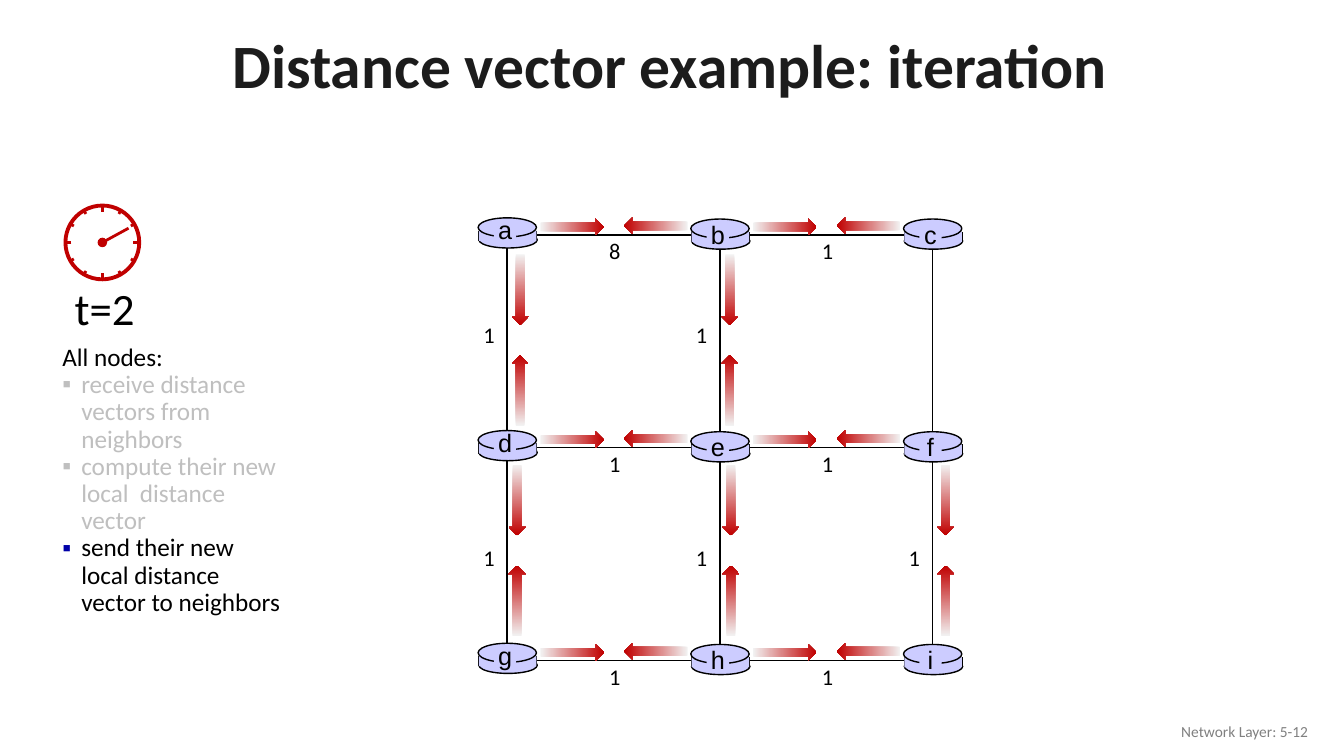
from dataclasses import dataclass
from math import cos, pi, sin

from lxml import etree
from pptx import Presentation
from pptx import util as u
from pptx.dml.color import RGBColor
from pptx.enum import shapes, text
from pptx.oxml.ns import qn

Cm, Pt = u.Cm, u.Pt
MSO = shapes.MSO_SHAPE
ALIGN, ANCHOR = text.PP_ALIGN, text.MSO_ANCHOR


@dataclass(frozen=True)
class Theme:
    ink: str = "000000"
    heading: str = "1C1C1C"
    footer: str = "808080"
    faded: str = "BFBFBF"
    bullet: str = "0000A8"
    router: str = "CCCCFF"
    red: str = "C00000"
    pale: str = "F2F2F2"
    body_font: str = "Calibri"
    node_font: str = "Arial"
    title_size: int = 44
    time_size: int = 32
    body_size: int = 18
    cost_size: int = 16
    footer_size: int = 11


class Board:
    """Draws on one slide; all lengths are centimetres."""

    def __init__(self, s, theme):
        self.s, self.t = s, theme
        self.target = s.shapes

    def group(self):
        self.target = self.s.shapes.add_group_shape().shapes

    def ungroup(self):
        self.target = self.s.shapes

    def shape(self, kind, x, y, w, h, fill=None, line=None, width=1):
        sp = self.target.add_shape(kind, Cm(x), Cm(y), Cm(w), Cm(h))
        sp.shadow.inherit = False
        if fill:
            sp.fill.solid()
            sp.fill.fore_color.rgb = RGBColor.from_string(fill)
        else:
            sp.fill.background()
        if line:
            sp.line.color.rgb = RGBColor.from_string(line)
            sp.line.width = Pt(width)
        else:
            sp.line.fill.background()
        return sp

    def line(self, x1, y1, x2, y2, color, width=1):
        c = self.target.add_connector(shapes.MSO_CONNECTOR.STRAIGHT,
                                      Cm(x1), Cm(y1), Cm(x2), Cm(y2))
        c.line.color.rgb = RGBColor.from_string(color)
        c.line.width = Pt(width)
        etree.SubElement(c._element.spPr, qn("a:effectLst"))
        return c

    def arrow(self, cx, cy, length, rotation):
        h = 0.43
        sp = self.shape(MSO.RIGHT_ARROW, cx - length / 2, cy - h / 2, length, h)
        sp.fill.gradient()
        sp.fill.gradient_angle = 0
        for stop, color in zip(sp.fill.gradient_stops, (self.t.pale, self.t.red)):
            stop.color.rgb = RGBColor.from_string(color)
        sp.rotation = rotation

    def bullet(self, p, color, indent=0.48):
        pPr = p._p.get_or_add_pPr()
        pPr.set("marL", str(Cm(indent)))
        pPr.set("indent", str(-Cm(indent)))
        clr = etree.SubElement(pPr, qn("a:buClr"))
        etree.SubElement(clr, qn("a:srgbClr"), val=color)
        etree.SubElement(pPr, qn("a:buFont"), typeface=self.t.node_font)
        etree.SubElement(pPr, qn("a:buChar"), char="▪")

    def text(self, x, y, w, h, paras, size, font=None, align=ALIGN.LEFT,
             anchor=ANCHOR.TOP, wrap=True, spacing=None, bold=False):
        """paras holds (text, colour, bullet colour or None)."""
        tf = self.target.add_textbox(Cm(x), Cm(y), Cm(w), Cm(h)).text_frame
        tf.word_wrap, tf.vertical_anchor = wrap, anchor
        fmt = {"name": font or self.t.body_font, "size": Pt(size), "bold": bold}
        for i, (words, color, mark) in enumerate(paras):
            p = tf.add_paragraph() if i else tf.paragraphs[0]
            if mark:
                self.bullet(p, mark)
            p.alignment, p.line_spacing = align, spacing
            r = p.add_run()
            r.text = words
            for key, value in fmt.items():
                setattr(r.font, key, value)
            r.font.color.rgb = RGBColor.from_string(color)

    def router(self, name, x, y, label_y):
        t = self.t
        self.shape(MSO.OVAL, x - 0.71, y - 0.08, 1.47, 0.41, t.router, t.ink)
        for side in (-0.71, 0.74):
            self.line(x + side, y - 0.11, x + side, y + 0.15, t.ink)
        self.shape(MSO.RECTANGLE, x - 0.71, y - 0.11, 1.45, 0.26, t.router)
        self.shape(MSO.OVAL, x - 0.73, y - 0.43, 1.47, 0.48, t.router, t.ink)
        self.shape(MSO.RECTANGLE, x - 0.33, y - 0.3, 0.56, 0.51, t.router)
        self.text(x - 0.48, label_y, 0.86, 1.02, [(name, t.ink, None)],
                  t.body_size, t.node_font, ALIGN.CENTER, wrap=False)

    def cost(self, value, x, y):
        self.text(x, y, 0.82, 0.94, [(value, self.t.ink, None)],
                  self.t.cost_size, wrap=False)

    def clock(self, cx, cy):
        t = self.t
        self.shape(MSO.OVAL, cx - 0.93, cy - 0.93, 1.86, 1.86, None, t.red, 2.75)
        for hour in range(12):
            dx, dy = cos(hour * pi / 6), sin(hour * pi / 6)
            inner, outer = (0.83, 0.95) if hour % 3 else (0.78, 0.95)
            self.line(cx + inner * dx, cy + inner * dy,
                      cx + outer * dx, cy + outer * dy, t.red, 2)
        self.shape(MSO.OVAL, cx - 0.12, cy - 0.12, 0.24, 0.24, t.red)
        self.line(cx + 0.66, cy - 0.36, cx, cy, t.red, 2)


def main():
    prs = Presentation()
    prs.slide_width, prs.slide_height = Cm(33.87), Cm(19.05)
    t = Theme()
    b = Board(prs.slides.add_slide(prs.slide_layouts[6]), t)

    # Title and footer
    b.text(2.29, 0.48, 29.21, 2.49,
           [("Distance vector example: iteration", t.heading, None)],
           t.title_size, align=ALIGN.CENTER, anchor=ANCHOR.MIDDLE,
           spacing=0.9, bold=True)
    b.text(25.6, 17.91, 7.62, 1.02, [("Network Layer: 5-12", t.footer, None)],
           t.footer_size, align=ALIGN.RIGHT, anchor=ANCHOR.MIDDLE)

    # Links between the routers
    left, top, step = 12.78, 5.92, 5.36
    cols = [left + step * i for i in range(3)]
    rows = [top + step * i for i in range(3)]
    frame = b.shape(MSO.RECTANGLE, left, top, 2 * step, 2 * step, None, t.ink)
    for start, end in ((2, 0), (1, 3)):
        link = b.line(left, top, left, top, t.ink)
        link.begin_connect(frame, start)
        link.end_connect(frame, end)

    # Routers, one group per row
    for y, names in zip(rows, ("abc", "def", "ghi")):
        b.group()
        for i, (x, name) in enumerate(zip(cols, names)):
            b.router(name, x, y + (0.03 if i else 0), y - (0.53 if i else 0.64))
    b.ungroup()

    # Costs and arrows on the horizontal links
    for y, costs in zip(rows, ("81", "11", "11")):
        for x, value in zip(cols, costs):
            b.cost(value, x + 2.32, y - 0.06)
            b.arrow(x + 1.64, y - 0.2, 1.6, 0)
            b.arrow(x + 3.75, y - 0.23, 1.6, 180)

    # Costs and arrows on the vertical links: (column, row) to arrow offset
    offsets = {(0, 0): 0.33, (1, 0): 0.25, (0, 1): 0.25, (1, 1): 0.28, (2, 1): 0.33}
    for (col, row), dx in offsets.items():
        x, y = cols[col], rows[row]
        b.cost("1", x - 0.85, y + (2.3 if row else 2.04))
        down = y + 1.38 - 0.06 * row
        b.arrow(x + dx, down, 1.78, 90)
        b.arrow(x + dx, down + 2.54, 1.78, 270)

    # Steps of the iteration
    b.text(1.32, 8.56, 6.1, 7.19, [
        ("All nodes:", t.ink, None),
        ("receive distance vectors from neighbors", t.faded, t.faded),
        ("compute their new local  distance vector", t.faded, t.faded),
        ("send their new local distance vector to neighbors", t.ink, t.bullet),
    ], t.body_size, spacing=0.9)

    # Clock and time
    b.group()
    b.text(1.63, 6.96, 2.06, 1.63, [("t=2", t.ink, None)], t.time_size, wrap=False)
    b.clock(2.58, 6.11)

    prs.save("out.pptx")


if __name__ == "__main__":
    main()
